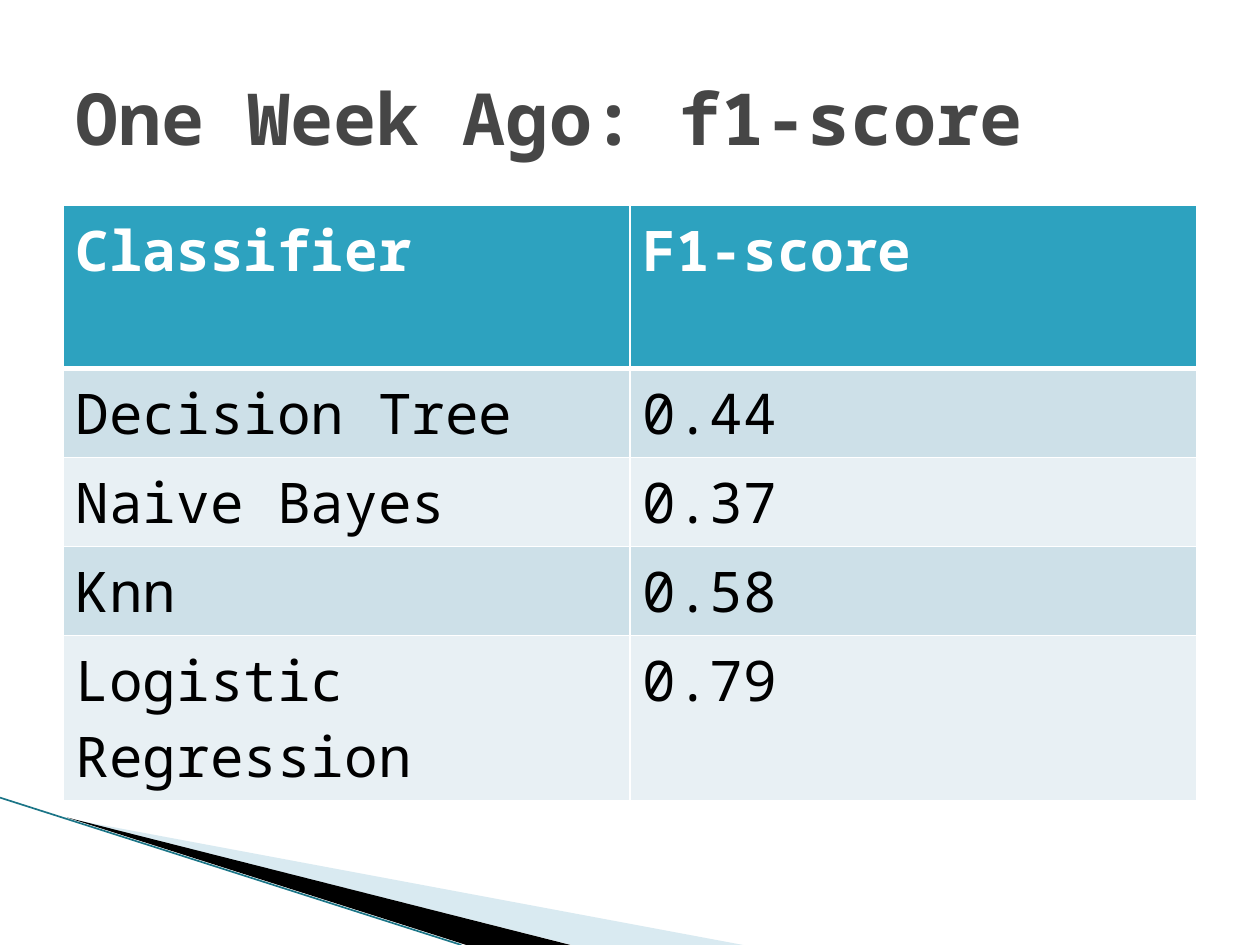
from lxml import etree
from pptx import Presentation
from pptx.dml.color import RGBColor
from pptx.enum.shapes import MSO_CONNECTOR
from pptx.enum.text import MSO_ANCHOR, PP_ALIGN
from pptx.oxml import parse_xml
from pptx.oxml.ns import nsdecls, qn
from pptx.util import Cm, Pt

STRAIGHT = MSO_CONNECTOR.STRAIGHT
MIDDLE, TOP = MSO_ANCHOR.MIDDLE, MSO_ANCHOR.TOP
LEFT = PP_ALIGN.LEFT
FONT = "Noto Sans Mono"


def color(hex_string):
    return RGBColor.from_string(hex_string)


def write(text_frame, text, size, hex_color, bold=False):
    paragraph = text_frame.paragraphs[0]
    paragraph.alignment = LEFT
    run = paragraph.add_run()
    run.text = text
    run.font.name = FONT
    run.font.size = Pt(size)
    run.font.bold = bold
    run.font.color.rgb = color(hex_color)


presentation = Presentation()
presentation.slide_width, presentation.slide_height = Cm(25.4), Cm(19.05)
slide = presentation.slides.add_slide(presentation.slide_layouts[5])

# Corner wedges, from back to front: points in cm, fill, opacity in percent
wedges = [
    ([(1.4, 16.51), (14.98, 19.05), (11.53, 19.05)], "A0CBDC", 40),
    ([(1.35, 16.48), (11.5, 19.05), (9.4, 19.05)], "000000", 100),
]
for points, fill, opacity in wedges:
    corners = [(Cm(x), Cm(y)) for x, y in points]
    builder = slide.shapes.build_freeform(*corners[0])
    builder.add_line_segments(corners[1:], close=True)
    wedge = builder.convert_to_shape()
    wedge.shadow.inherit = False
    wedge.line.fill.background()
    wedge.fill.solid()
    wedge.fill.fore_color.rgb = color(fill)
    if opacity < 100:
        fill_color = wedge._element.spPr.find(qn("a:solidFill"))[0]
        etree.SubElement(fill_color, qn("a:alpha"), val=str(opacity * 1000))

# Thin edge along the wedges
edge = slide.shapes.add_connector(STRAIGHT, Cm(0), Cm(16.08), Cm(9.3), Cm(19.05))
edge.line.color.rgb = color("1B7587")
edge.line.width = Pt(0.95)
etree.SubElement(edge._element.spPr, qn("a:effectLst"))

# Title
title = slide.shapes.title
title.left, title.top, title.width, title.height = Cm(1.27), Cm(0.76), Cm(22.86), Cm(3.18)
title.text_frame.vertical_anchor = MIDDLE
write(title.text_frame, "One Week Ago: f1-score", 41, "464646", bold=True)

# Score table
scores = [
    ("Classifier", "F1-score"),
    ("Decision Tree", "0.44"),
    ("Naive Bayes", "0.37"),
    ("Knn", "0.58"),
    ("Logistic Regression", "0.79"),
]
row_heights = [3.3, 1.79, 1.79, 1.79, 3.3]
table = slide.shapes.add_table(
    len(scores), 2, Cm(1.27), Cm(4.13), Cm(22.86), Cm(sum(row_heights))
).table
for row_index, (row, height) in enumerate(zip(scores, row_heights)):
    table.rows[row_index].height = Cm(height)
    header = row_index == 0
    fill = "2DA2BF" if header else ("E8F0F4", "CDE0E8")[row_index % 2]
    for column_index, text in enumerate(row):
        cell = table.cell(row_index, column_index)
        cell.vertical_anchor = TOP
        write(cell.text_frame, text, 32, "FFFFFF" if header else "000000", bold=header)
        cell.fill.solid()
        cell.fill.fore_color.rgb = color(fill)
        # White borders, thicker between header and body
        widths = {"lnL": 1, "lnR": 1, "lnT": 3 if row_index == 1 else 1, "lnB": 3 if header else 1}
        for position, (side, width) in enumerate(widths.items()):
            border = parse_xml(
                f'<a:{side} {nsdecls("a")} w="{Pt(width)}"><a:solidFill>'
                f'<a:srgbClr val="FFFFFF"/></a:solidFill></a:{side}>'
            )
            cell._tc.tcPr.insert(position, border)

presentation.save("out.pptx")
